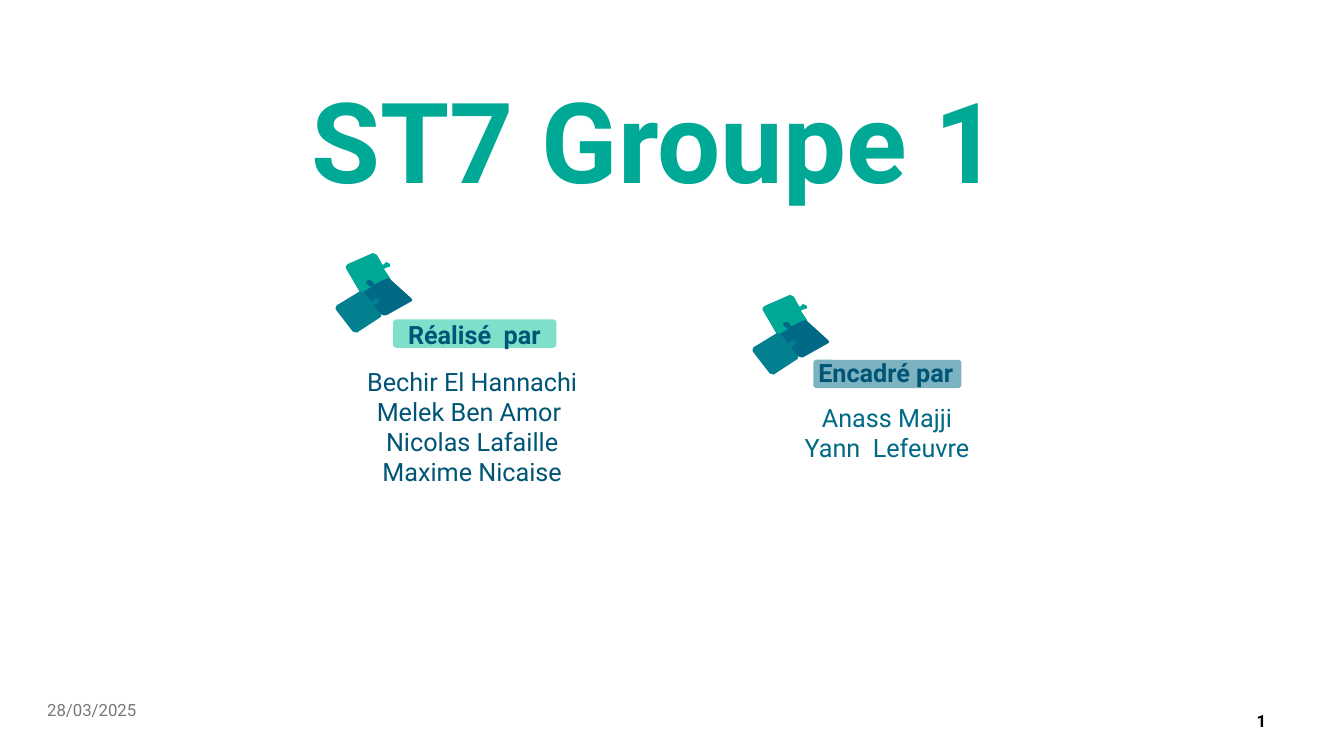
from dataclasses import dataclass

from lxml import etree
from pptx import Presentation
from pptx.dml import color as c
from pptx.enum import shapes, text
from pptx.oxml import ns
from pptx.util import Pt


@dataclass(frozen=True)
class Theme:
    font: str = "Roboto"
    title: int = 80
    body: int = 18
    footer: int = 12
    green: str = "00A896"
    mint: str = "02C39A"
    teal: str = "028090"
    blue: str = "006985"
    navy: str = "005475"
    grey: str = "797979"
    black: str = "000000"


THEME = Theme()
LEFT, CENTER, RIGHT = text.PP_ALIGN.LEFT, text.PP_ALIGN.CENTER, text.PP_ALIGN.RIGHT
PUZZLE_UNIT = Pt(0.72)
PUZZLE_PIECES = [
    (THEME.green, [
        (10, 13), (10, 15), (24, 39), (28, 40), (52, 29), (54, 28), (54, 25),
        (48, 16), (49, 15), (52, 14), (53, 14), (54, 13), (54, 11), (50, 9),
        (49, 10), (47, 12), (46, 11), (41, 2), (37, 0), (12, 11)]),
    (THEME.blue, [
        (48, 62), (50, 62), (75, 48), (76, 47), (75, 45), (54, 26), (52, 25),
        (49, 26), (39, 31), (39, 32), (38, 31), (37, 29), (36, 28), (34, 27),
        (32, 27), (30, 29), (31, 31), (32, 32), (34, 33), (35, 34), (25, 40),
        (24, 43), (45, 61)]),
    (THEME.teal, [
        (0, 54), (0, 56), (17, 78), (21, 79), (44, 64), (45, 63), (45, 61),
        (38, 52), (38, 51), (39, 51), (41, 50), (43, 49), (43, 48), (43, 46),
        (39, 45), (38, 46), (36, 48), (35, 48), (28, 39), (24, 38), (1, 52)]),
]


def paint(shape, color):
    shape.shadow.inherit = False
    shape.fill.solid()
    shape.fill.fore_color.rgb = c.RGBColor.from_string(color)
    shape.line.fill.background()


def add_text(page, frame, lines, size, color, bold=False, align=CENTER,
             middle=False, wrap=True, spacing=None):
    box = page.shapes.add_textbox(*map(Pt, frame)).text_frame
    box.word_wrap = wrap
    if middle:
        box.vertical_anchor = text.MSO_ANCHOR.MIDDLE
    else:
        box.auto_size = text.MSO_AUTO_SIZE.SHAPE_TO_FIT_TEXT
    box.text = "\n".join(lines)
    for para in box.paragraphs:
        para.alignment = align
        para.line_spacing = spacing
        para.font.name = THEME.font
        para.font.size = Pt(size)
        para.font.bold = bold
        para.font.color.rgb = c.RGBColor.from_string(color)


def add_highlight(page, frame, color):
    bar = page.shapes.add_shape(shapes.MSO_SHAPE.ROUNDED_RECTANGLE, *map(Pt, frame))
    bar.adjustments[0] = 0.113
    paint(bar, color)
    fill = bar.fill._xPr.find(ns.qn("a:solidFill"))
    etree.SubElement(fill[0], ns.qn("a:alpha"), val="51000")


def add_puzzle(page, left, top):
    group = page.shapes.add_group_shape()
    for color, points in PUZZLE_PIECES:
        outline = group.shapes.build_freeform(*points[0], scale=PUZZLE_UNIT)
        outline.add_line_segments(points[1:], close=True)
        paint(outline.convert_to_shape(Pt(left), Pt(top)), color)


def main():
    deck = Presentation()
    deck.slide_width, deck.slide_height = Pt(960), Pt(540)
    page = deck.slides.add_slide(deck.slide_layouts[6])

    add_text(page, (97.2, 85, 742.3, 41), ["ST7 Groupe 1"], THEME.title,
             THEME.green, bold=True, middle=True, spacing=0.9)
    add_text(page, (26.6, 492.5, 216, 28.8), ["28/03/2025"], THEME.footer,
             THEME.grey, align=LEFT, middle=True)
    add_text(page, (695.5, 500.4, 216, 28.8), ["1"], THEME.footer,
             THEME.black, bold=True, align=RIGHT, middle=True)

    add_text(page, (514.1, 283.7, 239, 51.1), ["Anass Majji", "Yann  Lefeuvre"],
             THEME.body, THEME.blue)
    add_highlight(page, (280.8, 228.2, 116.6, 20.2), THEME.mint)
    add_text(page, (283, 224.6, 111.6, 28.8), ["Réalisé  par"], THEME.body,
             THEME.navy, bold=True, wrap=False)
    add_highlight(page, (581, 257, 105.8, 20.2), THEME.blue)
    add_text(page, (577.4, 252, 113.8, 28.8), ["Encadré par"], THEME.body,
             THEME.navy, bold=True, align=LEFT, wrap=False)

    add_puzzle(page, 239.8, 180.7)
    add_puzzle(page, 537.6, 210.6)
    add_text(page, (97.2, 257.8, 480.2, 94.3),
             ["Bechir El Hannachi", "Melek Ben Amor ", "Nicolas Lafaille", "Maxime Nicaise"],
             THEME.body, THEME.navy)
    deck.save("out.pptx")


if __name__ == "__main__":
    main()
